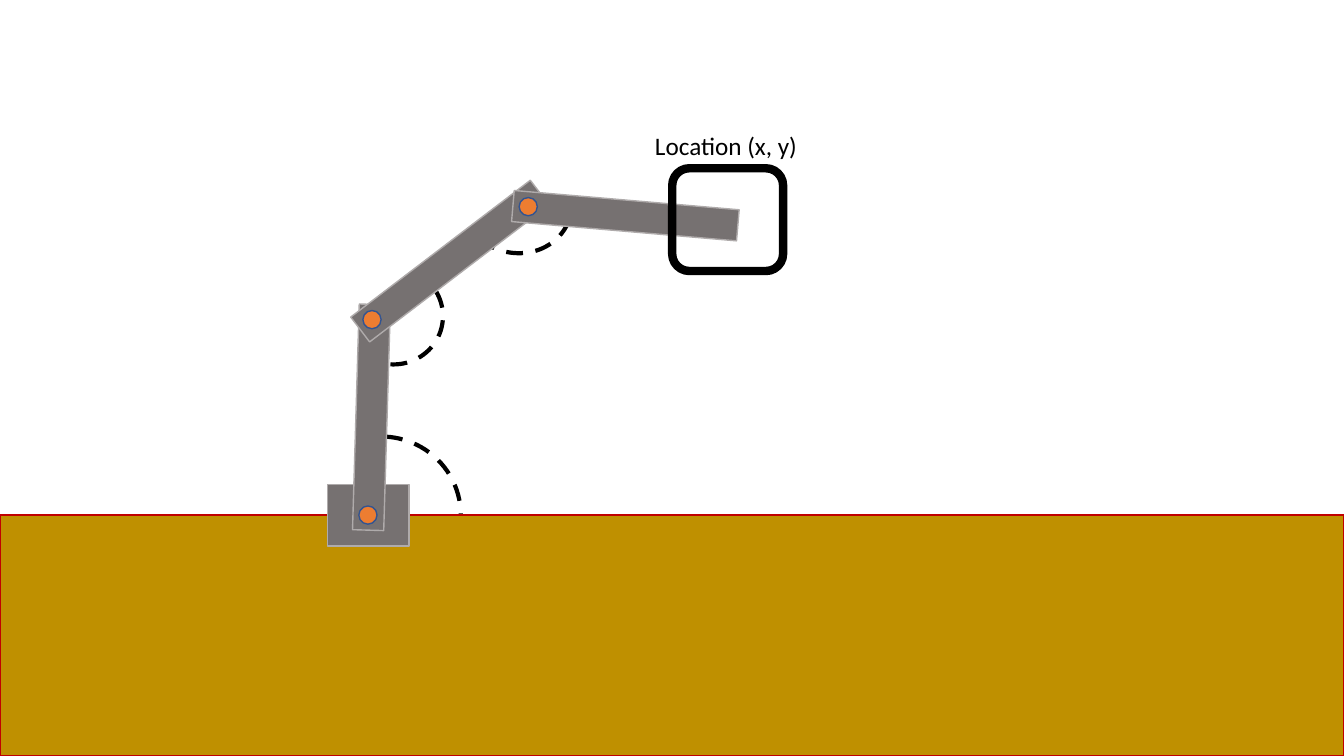
import pptx
import pptx.dml.color
import pptx.enum.dml
import pptx.enum.shapes
import pptx.enum.text
import pptx.util

Pt = pptx.util.Pt
RGBColor = pptx.dml.color.RGBColor
SHAPE = pptx.enum.shapes.MSO_SHAPE

BLACK = RGBColor(0x00, 0x00, 0x00)
SOIL = RGBColor(0xBF, 0x90, 0x00)
SOIL_EDGE = RGBColor(0xC0, 0x00, 0x00)
STEEL = RGBColor(0x76, 0x71, 0x71)
STEEL_EDGE = RGBColor(0xAF, 0xAB, 0xAB)
JOINT = RGBColor(0xED, 0x7D, 0x31)
JOINT_EDGE = RGBColor(0x32, 0x54, 0x91)

PAGE_WIDTH, PAGE_HEIGHT = 960, 540
GROUND_TOP = 367.9
ARM_WIDTH, ARM_LENGTH = 22.3, 161.3
JOINT_SIZE = 13

# left, top, width, height, rotation, start of the arc
ANGLE_ARCS = [
    (215.3, 311.8, 113.8, 111.6, 0, 164.13),
    (245.5, 189.4, 69.8, 72, 104.9, 136.09),
    (329, 99.4, 77, 84.2, 119.3, 158.22),
]
# arm left and top, arm rotation, joint left and top
SEGMENTS = [
    ((254.2, 217.4), 181.7, (256.3, 361.4)),
    ((310.3, 105.8), 232.7, (259.2, 221.8)),
    ((435.6, 73.4), 274.9, (370.8, 141.1)),
]


def add_figure(shapes, kind, at, fill, edge, edge_width=1, rotation=0):
    """Add a preset shape; a fill of None leaves it open."""
    figure = shapes.add_shape(kind, *[Pt(length) for length in at])
    figure.shadow.inherit = False
    figure.rotation = rotation
    if fill is None:
        figure.fill.background()
    else:
        figure.fill.solid()
        figure.fill.fore_color.rgb = fill
    figure.line.color.rgb = edge
    figure.line.width = Pt(edge_width)
    return figure


def add_angle_arc(page, left, top, width, height, rotation, start):
    arc = add_figure(page.shapes, SHAPE.ARC, (left, top, width, height),
                     None, BLACK, 3, rotation)
    arc.adjustments[0] = start
    arc.adjustments[1] = 0
    arc.line.dash_style = pptx.enum.dml.MSO_LINE.DASH


def add_segment(page, arm_at, rotation, joint_at):
    """Add one arm grouped with the joint it turns on."""
    group = page.shapes.add_group_shape()
    add_figure(group.shapes, SHAPE.RECTANGLE, (*arm_at, ARM_WIDTH, ARM_LENGTH),
               STEEL, STEEL_EDGE, rotation=rotation)
    add_figure(group.shapes, SHAPE.OVAL, (*joint_at, JOINT_SIZE, JOINT_SIZE),
               JOINT, JOINT_EDGE)


def add_label(page, text, left, top, width, height):
    box = page.shapes.add_textbox(Pt(left), Pt(top), Pt(width), Pt(height))
    box.text_frame.word_wrap = False
    box.text_frame.auto_size = pptx.enum.text.MSO_AUTO_SIZE.SHAPE_TO_FIT_TEXT
    span = box.text_frame.paragraphs[0].add_run()
    span.text = text
    span.font.name = "Calibri"
    span.font.size = Pt(18)
    span.font.color.rgb = BLACK


def main():
    deck = pptx.Presentation()
    deck.slide_width, deck.slide_height = Pt(PAGE_WIDTH), Pt(PAGE_HEIGHT)
    page = deck.slides.add_slide(deck.slide_layouts.get_by_name("Blank"))

    for arc in ANGLE_ARCS:
        add_angle_arc(page, *arc)
    add_figure(page.shapes, SHAPE.RECTANGLE,
               (0, GROUND_TOP, PAGE_WIDTH, PAGE_HEIGHT - GROUND_TOP), SOIL, SOIL_EDGE)
    add_figure(page.shapes, SHAPE.RECTANGLE, (234, 346.3, 58.3, 43.7),
               STEEL, STEEL_EDGE)
    for segment in SEGMENTS:
        add_segment(page, *segment)
    add_figure(page.shapes, SHAPE.ROUNDED_RECTANGLE, (480.2, 120.2, 79.2, 73.4),
               None, BLACK, 6)
    add_label(page, "Location (x, y)", 460.8, 89.3, 117.4, 29)

    deck.save("out.pptx")


if __name__ == "__main__":
    main()
